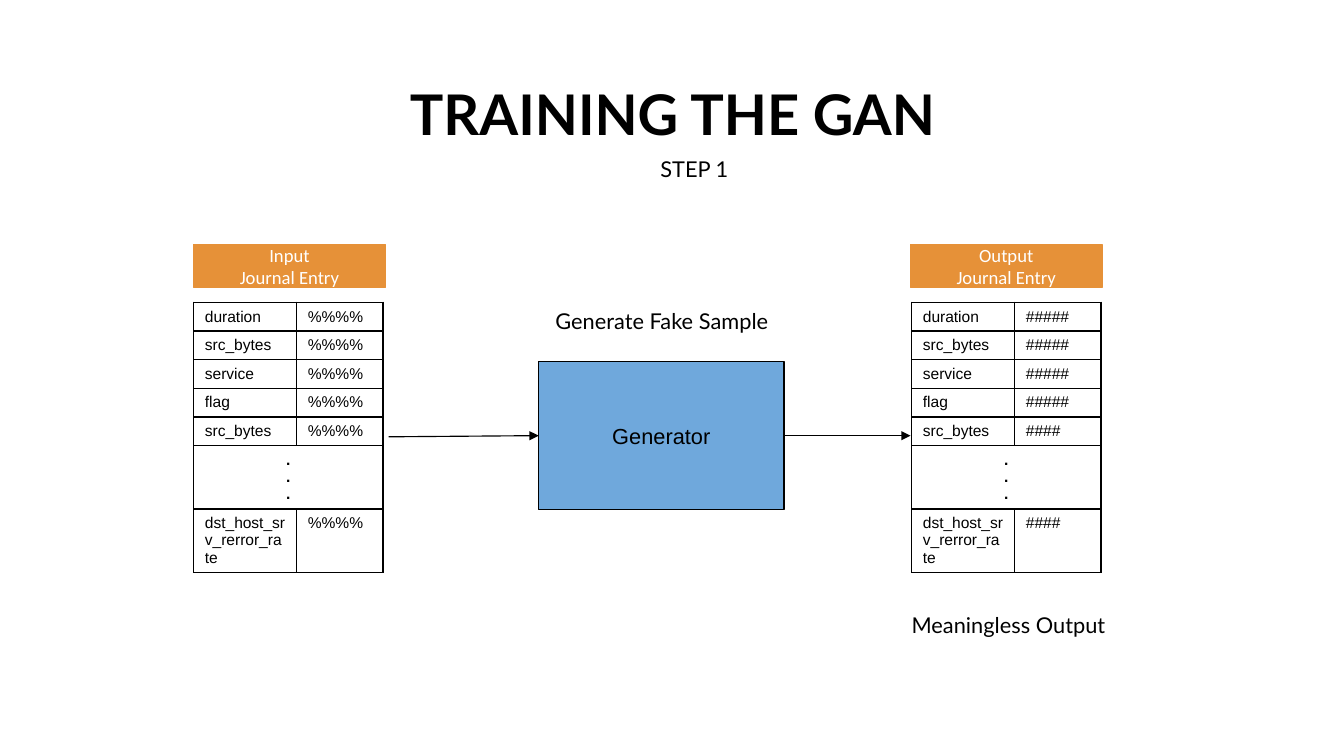
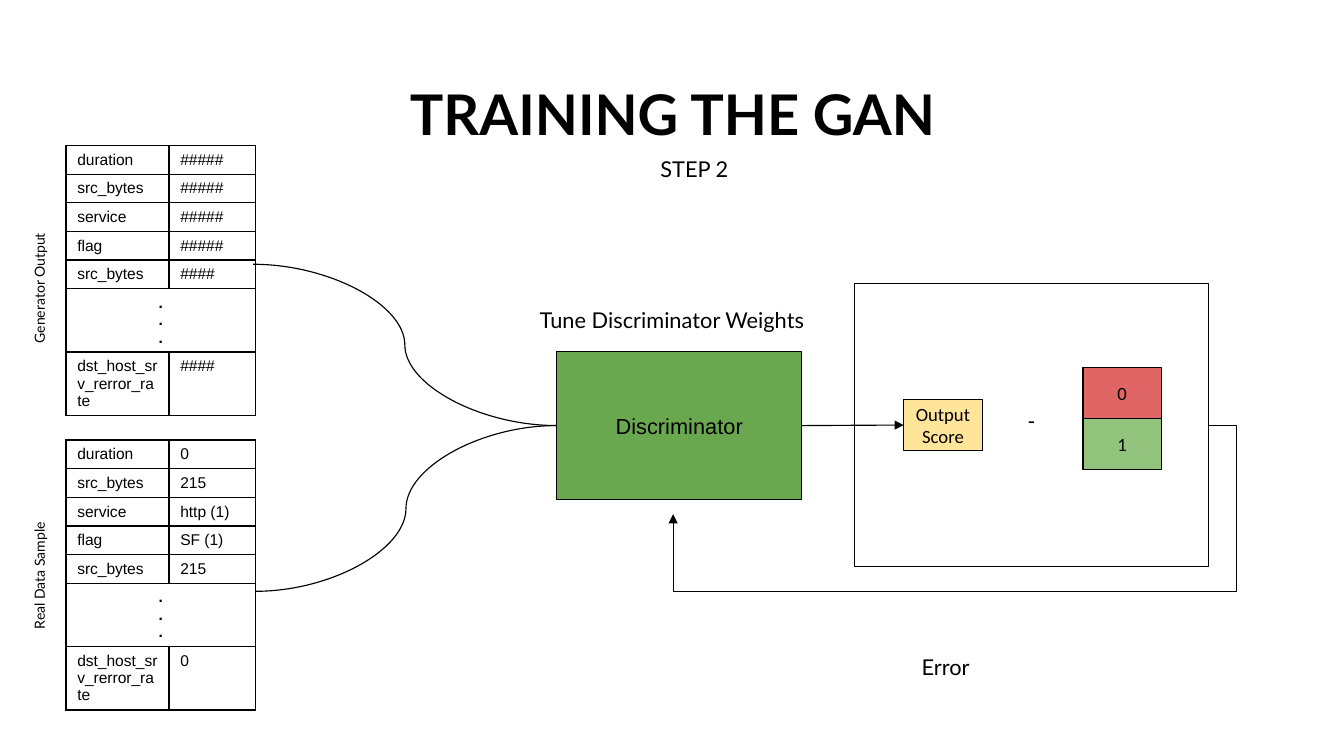
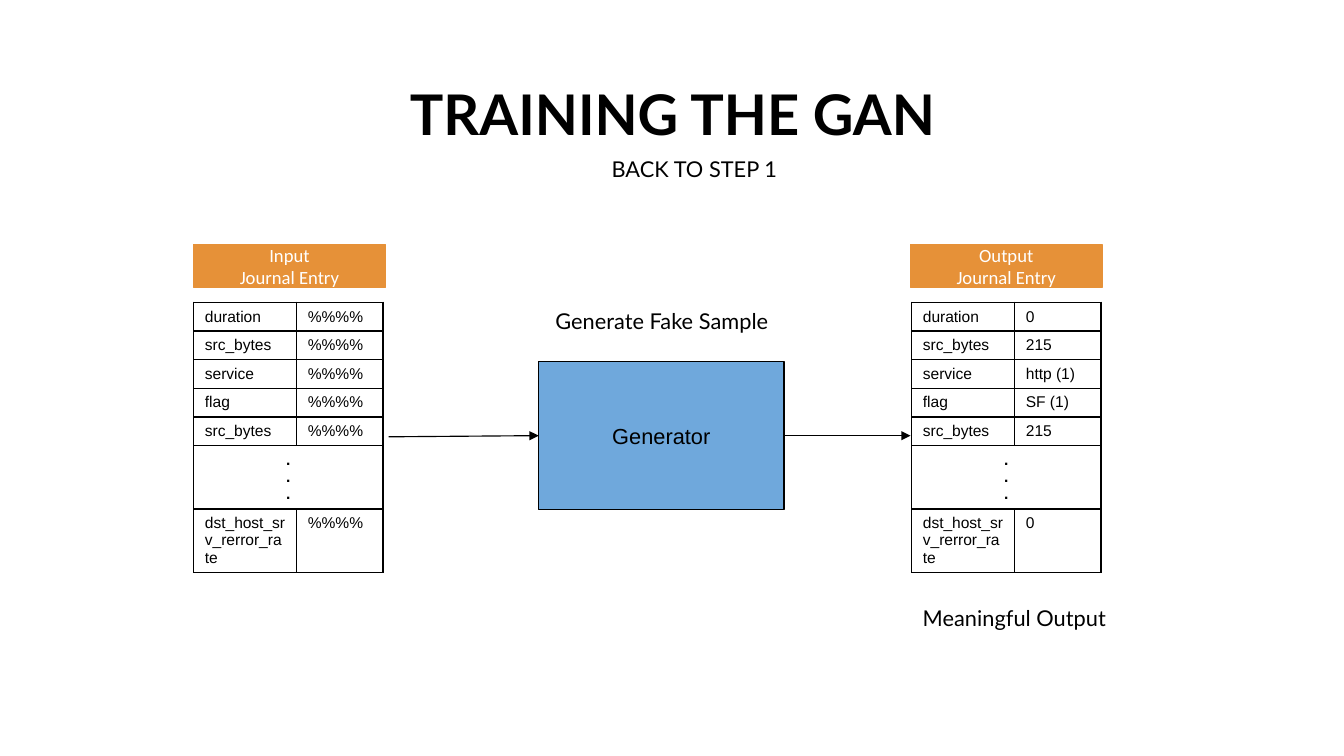
from pptx import Presentation
from pptx import util as u
from pptx.dml.color import RGBColor
from pptx.enum import shapes, text
from pptx.oxml import parse_xml
from pptx.oxml.ns import nsdecls, qn

BLACK = RGBColor(0x00, 0x00, 0x00)
WHITE = RGBColor(0xFF, 0xFF, 0xFF)
ORANGE = RGBColor(0xE6, 0x91, 0x38)
BLUE = RGBColor(0x6F, 0xA8, 0xDC)
GREEN = RGBColor(0x6A, 0xA8, 0x4F)
YELLOW = RGBColor(0xFF, 0xE5, 0x99)
RED = RGBColor(0xE0, 0x66, 0x66)
LIGHT_GREEN = RGBColor(0x93, 0xC4, 0x7D)

LEFT, CENTER = text.PP_ALIGN.LEFT, text.PP_ALIGN.CENTER
TOP, MIDDLE, BOTTOM = text.MSO_ANCHOR.TOP, text.MSO_ANCHOR.MIDDLE, text.MSO_ANCHOR.BOTTOM
STRAIGHT, ELBOW, CURVE = (shapes.MSO_CONNECTOR.STRAIGHT, shapes.MSO_CONNECTOR.ELBOW,
                          shapes.MSO_CONNECTOR.CURVE)

FIELDS = ["duration", "src_bytes", "service", "flag", "src_bytes", ".\n.\n.",
          "dst_host_srv_rerror_rate"]
NOISE = ["%%%%"] * 5 + ["", "%%%%"]
FAKE = ["#####"] * 4 + ["####", "", "####"]
REAL = ["0", "215", "http (1)", "SF (1)", "215", "", "0"]
COLS = [0.92, 0.77]
ROWS = [0.25] * 5 + [0.56] * 2

TITLE = dict(name="Lato", size=u.Pt(36), bold=True)
LABEL = dict(name="Lato", size=u.Pt(14), bold=False)
SIDE = dict(name="Lato", size=u.Pt(9), bold=False)
BLOCK = dict(name="Arial", size=u.Pt(14), bold=False)
SMALL = dict(name="Calibri", size=u.Pt(12), bold=False)
CELL = dict(name="Arial", size=u.Pt(10), bold=False)
DOTS = dict(CELL, bold=True)

GENERATOR_BOXES = [
    ("Input\nJournal Entry", 1.73, 2.18, 1.71, 0.39, ORANGE, SMALL, WHITE),
    ("Generator", 4.81, 3.23, 2.19, 1.32, BLUE, BLOCK, BLACK),
    ("Output\nJournal Entry", 8.13, 2.18, 1.71, 0.39, ORANGE, SMALL, WHITE),
]
GENERATOR_LINES = [
    (STRAIGHT, 3.47, 3.9, 4.81, 3.89, None, "Generator", True),
    (STRAIGHT, 7, 3.89, 8.13, 3.89, "Generator", None, True),
]
GENERATE = ("Generate Fake Sample", 4.86, 2.65, 2.68, 0.32, LEFT, TOP, LABEL, 0)

SLIDES = [
    dict(step="STEP 1",
         tables=[(1.73, 2.7, NOISE), (8.14, 2.7, FAKE)],
         boxes=GENERATOR_BOXES,
         lines=GENERATOR_LINES,
         labels=[GENERATE,
                 ("Meaningless Output", 8.04, 5.36, 2.01, 0.32, LEFT, TOP, LABEL, 0)]),
    dict(step="STEP 2",
         tables=[(0.59, 1.3, FAKE), (0.59, 3.93, REAL)],
         boxes=[("Discriminator", 4.97, 3.14, 2.19, 1.32, GREEN, BLOCK, BLACK),
                ("Output\nScore", 8.07, 3.57, 0.7, 0.45, YELLOW, SMALL, BLACK),
                ("0", 9.67, 3.28, 0.7, 0.46, RED, SMALL, BLACK),
                ("1", 9.67, 3.74, 0.7, 0.45, LIGHT_GREEN, SMALL, BLACK),
                ("", 7.63, 2.53, 3.16, 2.53, None, SMALL, BLACK)],
         lines=[(CURVE, 2.26, 2.36, 4.97, 3.8, None, None, False),
                (CURVE, 2.28, 5.28, 4.97, 3.8, None, None, False),
                (STRAIGHT, 7.16, 3.8, 8.07, 3.8, "Discriminator", "Output\nScore", True),
                (ELBOW, 10.79, 3.8, 6.01, 5.28, None, None, False),
                (STRAIGHT, 6.01, 5.28, 6.01, 4.59, None, None, True)],
         labels=[("Generator Output", -0.36, 2.37, 1.33, 0.26, LEFT, TOP, SIDE, 270),
                 ("Real Data Sample", -0.36, 4.92, 1.33, 0.26, LEFT, TOP, SIDE, 270),
                 ("-", 9.08, 3.66, 0.39, 0.17, LEFT, MIDDLE, BLOCK, 0),
                 ("Error", 8.13, 5.74, 2.68, 0.32, LEFT, TOP, LABEL, 0),
                 ("Tune Discriminator Weights", 4.72, 2.64, 2.68, 0.32, LEFT, TOP, LABEL, 0)]),
    dict(step="BACK TO STEP 1",
         tables=[(1.73, 2.7, NOISE), (8.14, 2.7, REAL)],
         boxes=GENERATOR_BOXES,
         lines=GENERATOR_LINES,
         labels=[GENERATE,
                 ("Meaningful Output", 8.14, 5.3, 2.01, 0.32, LEFT, TOP, LABEL, 0)]),
]


def write(tf, words, fmt, color=BLACK, align=LEFT):
    tf.text = words
    for p in tf.paragraphs:
        p.alignment = align
        for r in p.runs:
            r.font.color.rgb = color
            for key, value in fmt.items():
                setattr(r.font, key, value)


def frame(tf, anchor, inset):
    tf.word_wrap = True
    tf.auto_size = text.MSO_AUTO_SIZE.NONE
    tf.vertical_anchor = anchor
    tf.margin_left = tf.margin_right = u.Inches(0.1)
    tf.margin_top = tf.margin_bottom = u.Inches(inset)


prs = Presentation()
prs.slide_width, prs.slide_height = u.Inches(12), u.Inches(6.75)

for spec_row in SLIDES:
    s = prs.slides.add_slide(prs.slide_layouts[5])
    sp = s.shapes.title
    sp.left, sp.top, sp.width, sp.height = [u.Inches(v) for v in (0.55, 0.72, 10.91, 0.65)]
    frame(sp.text_frame, BOTTOM, 0.05)
    write(sp.text_frame, "TRAINING THE GAN", TITLE, align=CENTER)
    sp.text_frame.paragraphs[0].line_spacing = 0.9

    for x, y, values in spec_row["tables"]:
        tbl = s.shapes.add_table(len(ROWS), len(COLS), u.Inches(x), u.Inches(y),
                                 u.Inches(sum(COLS)), u.Inches(sum(ROWS))).table
        tbl.first_row = tbl.horz_banding = False
        for col, width in zip(tbl.columns, COLS):
            col.width = u.Inches(width)
        for i, (field, value) in enumerate(zip(FIELDS, values)):
            tbl.rows[i].height = u.Inches(ROWS[i])
            for j, words in enumerate((field, value)):
                cell = tbl.cell(i, j)
                tcPr = cell._tc.get_or_add_tcPr()
                for side in ("lnL", "lnR", "lnT", "lnB"):
                    tcPr.append(parse_xml(
                        f'<a:{side} {nsdecls("a")} w="12700"><a:solidFill>'
                        f'<a:srgbClr val="{BLACK}"/></a:solidFill></a:{side}>'))
                cell.fill.background()
                if words:
                    dots = words.startswith(".")
                    write(cell.text_frame, words, DOTS if dots else CELL,
                          align=CENTER if dots else LEFT)
            if not value:
                tbl.cell(i, 0).merge(tbl.cell(i, 1))

    boxes = {}
    for words, x, y, w, h, fill, fmt, color in spec_row["boxes"]:
        sp = s.shapes.add_shape(shapes.MSO_SHAPE.RECTANGLE, *[u.Inches(v) for v in (x, y, w, h)])
        sp.shadow.inherit = False
        if fill is None:
            sp.fill.background()
        else:
            sp.fill.solid()
            sp.fill.fore_color.rgb = fill
        sp.line.color.rgb = ORANGE if fill == ORANGE else BLACK
        sp.line.width = u.Pt(0.75)
        frame(sp.text_frame, MIDDLE, 0.05)
        if words:
            write(sp.text_frame, words, fmt, color, CENTER)
        boxes[words] = sp

    for kind, x1, y1, x2, y2, begin, end, arrow in spec_row["lines"]:
        c = s.shapes.add_connector(kind, *[u.Inches(v) for v in (x1, y1, x2, y2)])
        if begin:
            c.begin_connect(boxes[begin], 3)
        if end:
            c.end_connect(boxes[end], 1)
        c.line.color.rgb = BLACK
        c.line.width = u.Pt(0.75)
        spPr = c._element.spPr
        if arrow:
            spPr.find(qn("a:ln")).append(parse_xml(f'<a:tailEnd {nsdecls("a")} type="triangle"/>'))
        if kind == ELBOW:
            spPr.find(qn("a:prstGeom")).find(qn("a:avLst")).append(
                parse_xml(f'<a:gd {nsdecls("a")} name="adj1" fmla="val -5200"/>'))
        spPr.append(parse_xml(f'<a:effectLst {nsdecls("a")}/>'))

    step = (spec_row["step"], 4.86, 1.29, 2.68, 0.32, CENTER, TOP, LABEL, 0)
    for words, x, y, w, h, align, anchor, fmt, turn in spec_row["labels"] + [step]:
        sp = s.shapes.add_textbox(*[u.Inches(v) for v in (x, y, w, h)])
        sp.rotation = turn
        frame(sp.text_frame, anchor, 0.1)
        write(sp.text_frame, words, fmt, align=align)

prs.save("out.pptx")
